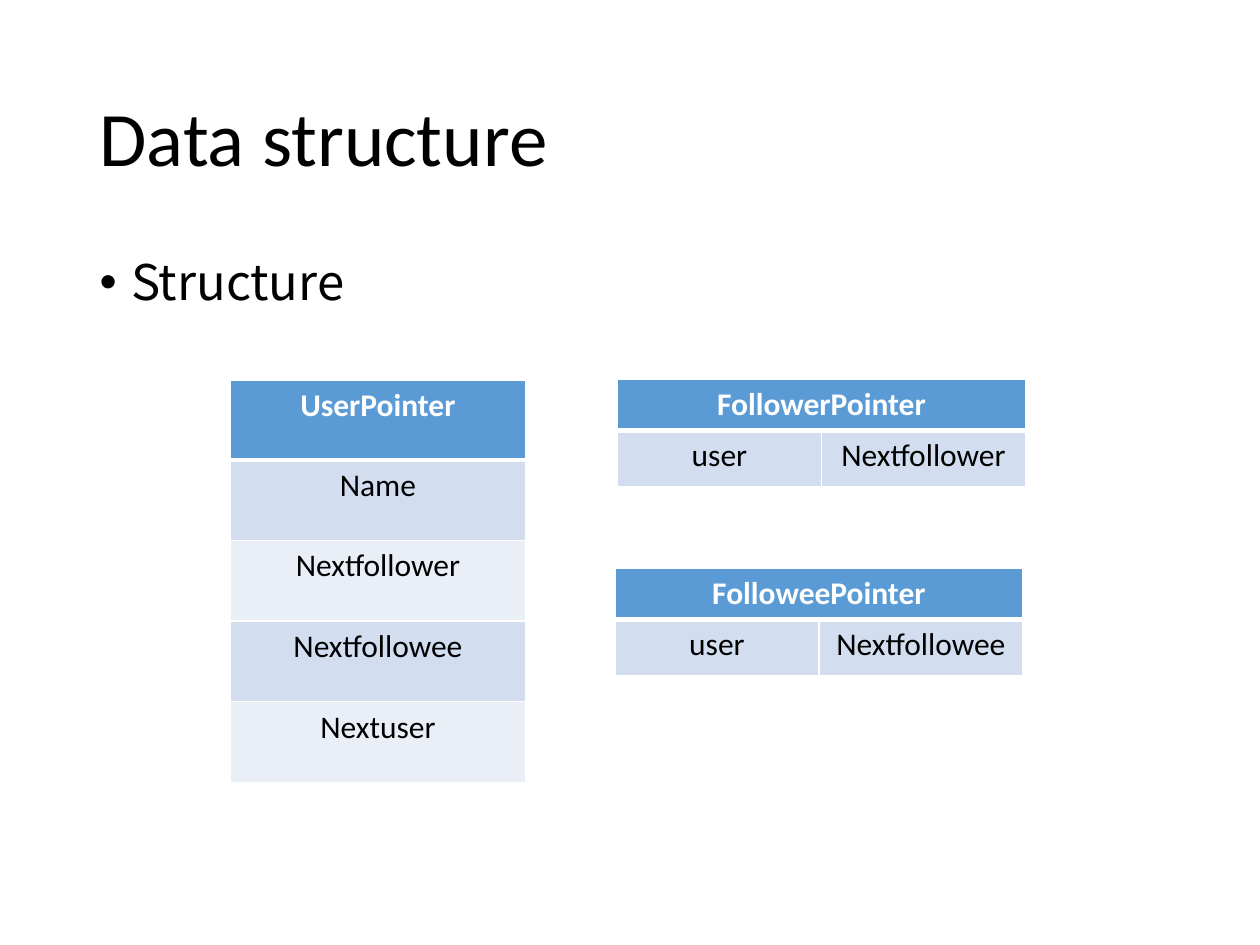
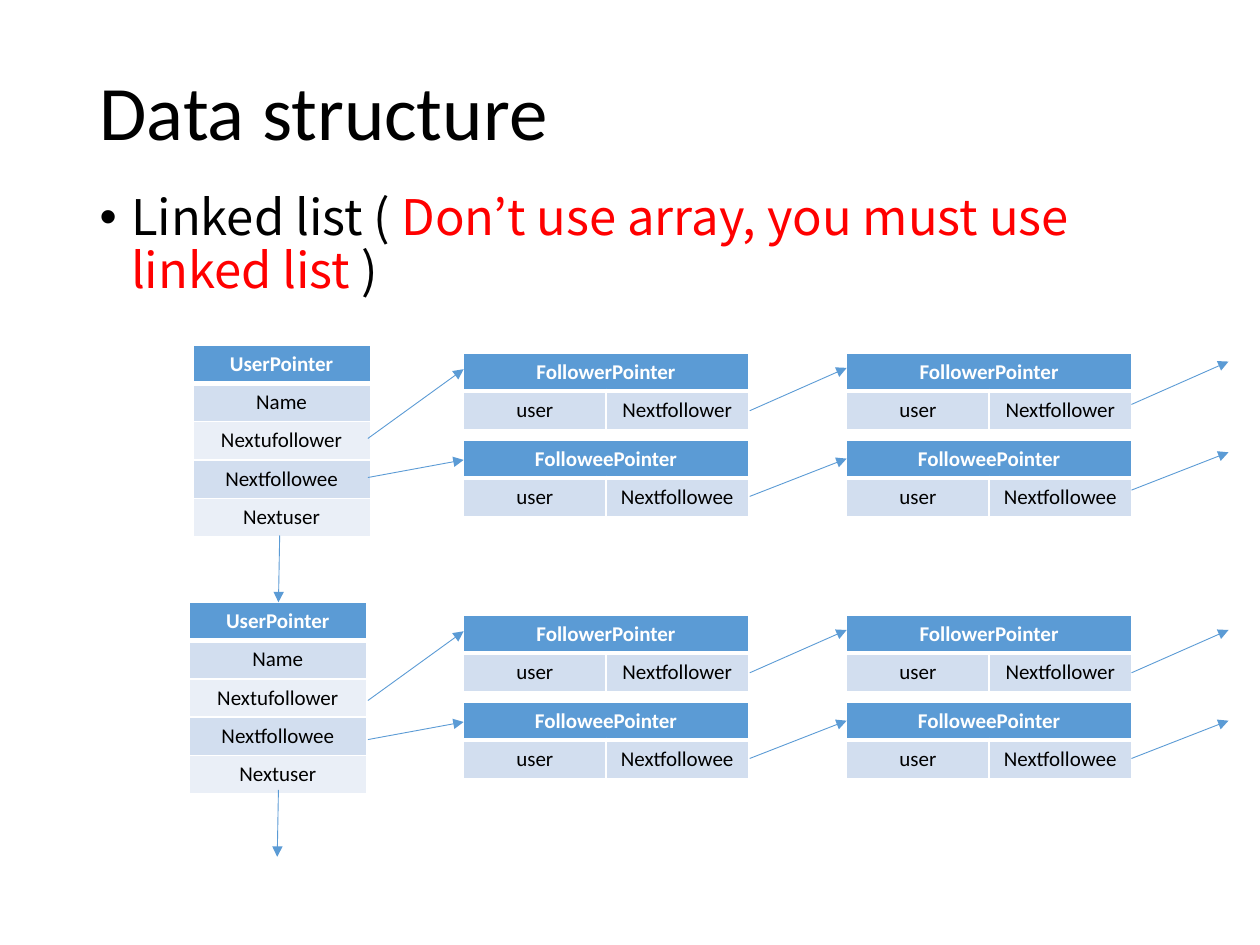
from lxml import etree
from pptx import Presentation
from pptx.dml.color import RGBColor
from pptx.enum import shapes, text
from pptx.oxml import ns
from pptx.util import Inches, Pt

BLACK, WHITE, RED = "000000", "FFFFFF", "FF0000"
BLUE, BAND_DARK, BAND_LIGHT = "5B9BD5", "D2DEEF", "EAEFF7"
TITLE_FONT, BODY_FONT = "Calibri", "Noto Sans CJK KR"
rgb = RGBColor.from_string


def add_run(paragraph, words, font_name, size, colour, bold=False):
    run = paragraph.add_run()
    run.text = words
    run.font.name = font_name
    run.font.size = Pt(size)
    run.font.bold = bold
    run.font.color.rgb = rgb(colour)


def add_pointer_table(slide, left, top, column_width, row_heights, rows, size):
    """Draw a record: a header across all columns, then banded field rows."""
    columns = len(rows[-1])
    table = slide.shapes.add_table(
        len(rows), columns, Inches(left), Inches(top),
        Inches(column_width * columns), Inches(sum(row_heights))).table
    for column in table.columns:
        column.width = Inches(column_width)
    for row, height in zip(table.rows, row_heights):
        row.height = Inches(height)
    if columns > 1:
        table.cell(0, 0).merge(table.cell(0, columns - 1))

    for r, row in enumerate(rows):
        for c in range(columns):
            cell = table.cell(r, c)
            properties = cell._tc.get_or_add_tcPr()
            widths = {"lnL": 1, "lnR": 1, "lnT": 3 if r == 1 else 1,
                      "lnB": 3 if r == 0 else 1}
            for side, width in widths.items():
                border = etree.SubElement(properties, ns.qn(f"a:{side}"), w=str(Pt(width)))
                fill = etree.SubElement(border, ns.qn("a:solidFill"))
                etree.SubElement(fill, ns.qn("a:srgbClr"), val=WHITE)
            cell.fill.solid()
            cell.fill.fore_color.rgb = rgb(
                BLUE if r == 0 else BAND_DARK if r % 2 else BAND_LIGHT)
            if c < len(row):
                paragraph = cell.text_frame.paragraphs[0]
                paragraph.alignment = text.PP_ALIGN.CENTER
                add_run(paragraph, row[c], TITLE_FONT, size,
                        BLACK if r else WHITE, bold=r == 0)


presentation = Presentation()
presentation.slide_width = Inches(10)
presentation.slide_height = Inches(7.5)

# Titles and bullets
outlines = [
    (0.4, 2, [("Structure", BLACK)]),
    (0.19, 1.48, [("Linked list ( ", BLACK),
                  ("Don’t use array, you must use linked list ", RED),
                  (")", BLACK)]),
]
for title_top, body_top, bullet_runs in outlines:
    slide = presentation.slides.add_slide(presentation.slide_layouts[1])
    title, body = slide.placeholders
    for placeholder, top, height in ((title, title_top, 1.45), (body, body_top, 1.02)):
        placeholder.left, placeholder.top = Inches(0.69), Inches(top)
        placeholder.width, placeholder.height = Inches(8.62), Inches(height)
        placeholder.text_frame.auto_size = text.MSO_AUTO_SIZE.NONE
        placeholder.text_frame.paragraphs[0].line_spacing = 0.9
    title.text_frame.vertical_anchor = text.MSO_ANCHOR.MIDDLE
    heading = title.text_frame.paragraphs[0]
    heading.alignment = text.PP_ALIGN.LEFT
    add_run(heading, "Data structure", TITLE_FONT, 44, BLACK)

    bullet = body.text_frame.paragraphs[0]
    bullet.space_before = Pt(10)
    bullet_properties = bullet._p.get_or_add_pPr()
    bullet_properties.set("marL", str(Inches(0.25)))
    bullet_properties.set("indent", str(Inches(-0.25)))
    for words, colour in bullet_runs:
        add_run(bullet, words, BODY_FONT, 28, colour)

structure_slide, list_slide = presentation.slides

# Slide 1: the three record types
add_pointer_table(
    structure_slide, 1.83, 3.02, 2.34, [0.63] + [0.64] * 4,
    [["UserPointer"], ["Name"], ["Nextfollower"], ["Nextfollowee"], ["Nextuser"]], 18)
for kind, left, top in (("Follower", 4.9, 3.01), ("Followee", 4.88, 4.51)):
    add_pointer_table(structure_slide, left, top, 1.62, [0.4, 0.45],
                      [[f"{kind}Pointer"], ["user", f"Next{kind.lower()}"]], 18)

# Slide 2: two users, each with a follower list and a followee list
user_rows = [["UserPointer"], ["Name"], ["Nextufollower"], ["Nextfollowee"], ["Nextuser"]]
# kind, table top, arrow out of the user, its tip, arrow out of a node, its tip
chains = [("Follower", 2.8, 3.48, 2.93, 3.26, 2.92),
          ("Followee", 3.49, 3.79, 3.65, 3.94, 3.64)]
arrows = [(2.22, 4.25, 2.21, 4.78), (2.21, 6.27, 2.2, 6.8)]
# user left, user top, drop of the whole group, lift of the last arrows
for user_left, user_top, drop, lift in ((1.53, 2.74, 0, 0.05), (1.5, 4.78, 2.08, 0)):
    add_pointer_table(list_slide, user_left, user_top, 1.41, [0.3] * 5, user_rows, 12)
    for kind, top, user_exit, user_tip, node_exit, node_tip in chains:
        for left in (3.68, 6.72):
            add_pointer_table(list_slide, left, top + drop, 1.13, [0.3, 0.3],
                              [[f"{kind}Pointer"], ["user", f"Next{kind.lower()}"]], 12)
        arrows += [
            (2.92, user_exit + drop, 3.68, user_tip + drop),
            (5.95, node_exit + drop, 6.72, node_tip + drop),
            (8.98, node_exit + drop - lift, 9.75, node_tip + drop - lift),
        ]

for arrow in arrows:
    connector = list_slide.shapes.add_connector(
        shapes.MSO_CONNECTOR.STRAIGHT, *map(Inches, arrow))
    connector.line.color.rgb = rgb(BLUE)
    connector.line.width = Pt(0.5)
    etree.SubElement(connector.line._get_or_add_ln(), ns.qn("a:tailEnd"), type="triangle")
    etree.SubElement(connector._element.spPr, ns.qn("a:effectLst"))

presentation.save("out.pptx")
